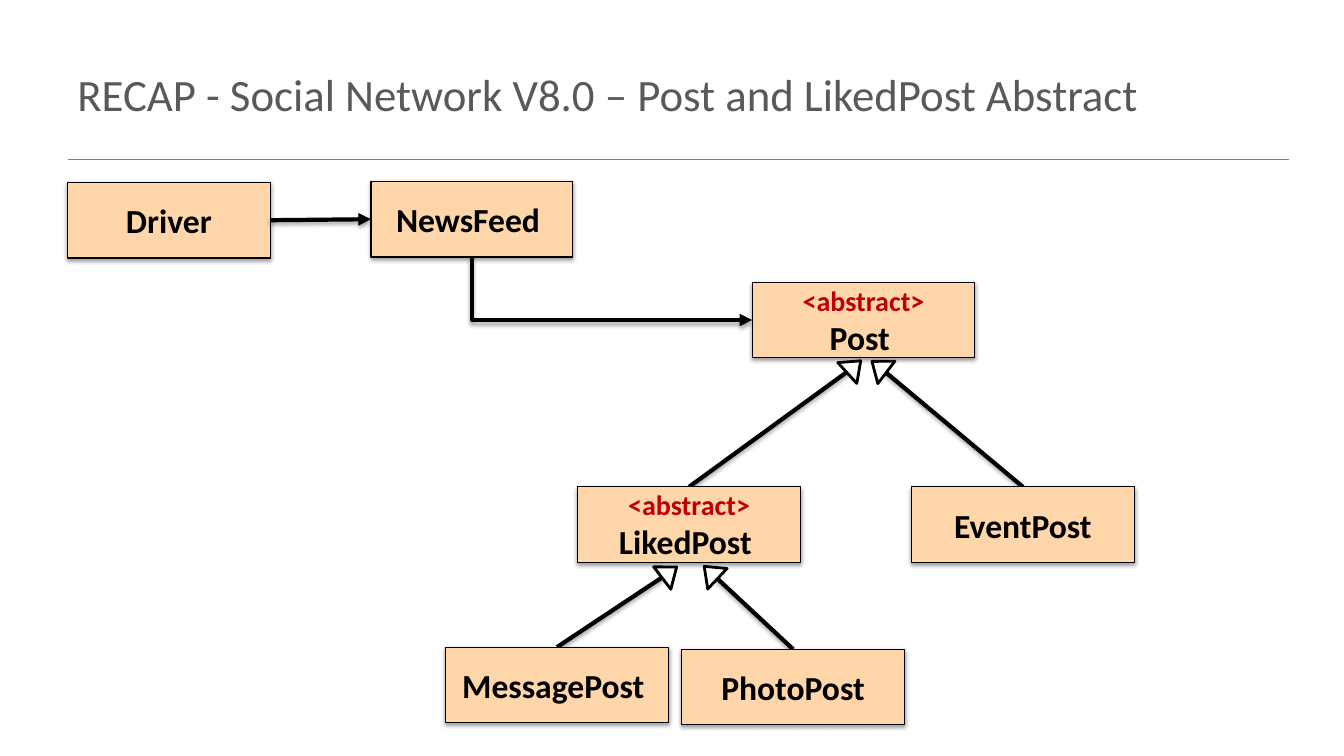
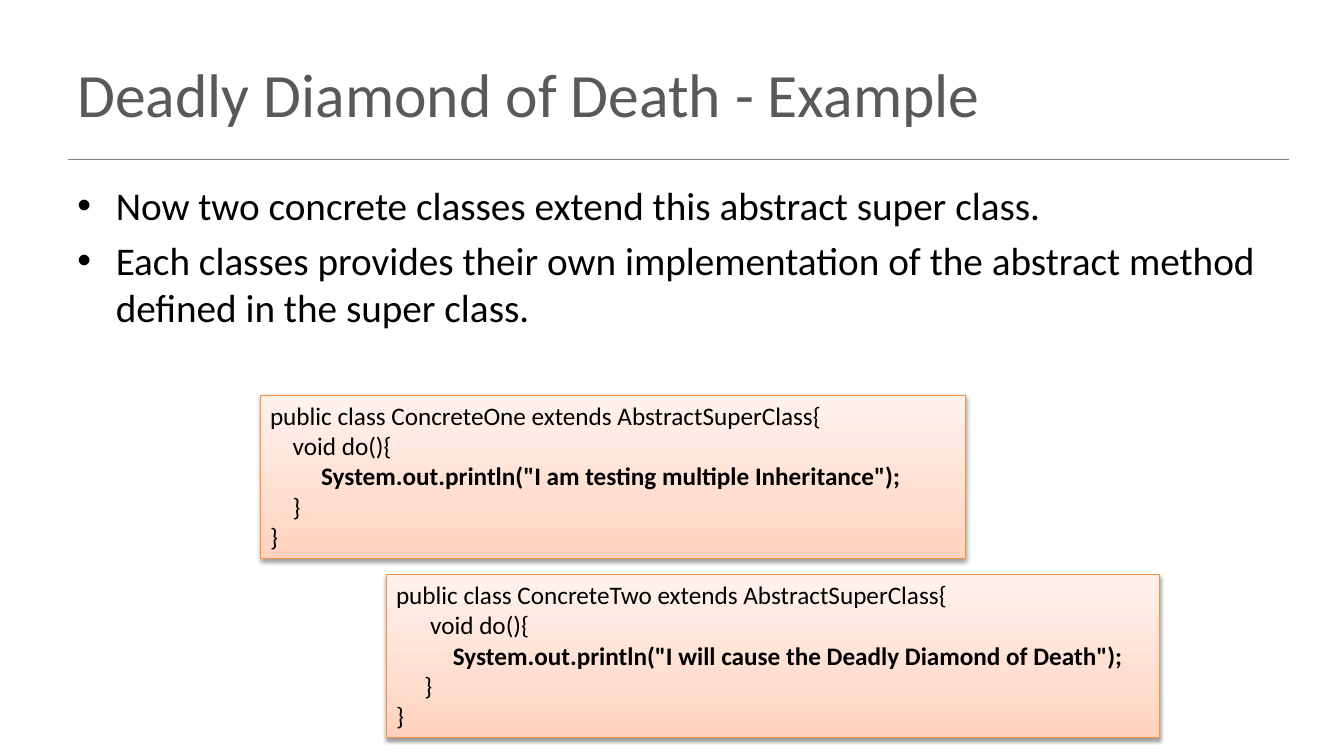
from lxml import etree
from pptx import Presentation
from pptx.dml.color import RGBColor
from pptx.enum.shapes import MSO_CONNECTOR, MSO_SHAPE
from pptx.enum.text import MSO_ANCHOR, PP_ALIGN
from pptx.oxml.ns import qn
from pptx.util import Inches, Pt

STRAIGHT = MSO_CONNECTOR.STRAIGHT
ELBOW = MSO_CONNECTOR.ELBOW
RECTANGLE = MSO_SHAPE.RECTANGLE
TRIANGLE = MSO_SHAPE.ISOSCELES_TRIANGLE
TOP, MIDDLE = MSO_ANCHOR.TOP, MSO_ANCHOR.MIDDLE
LEFT, CENTER = PP_ALIGN.LEFT, PP_ALIGN.CENTER

FONT = "Calibri"
COLORS = {
    "title": "595959", "rule": "808080", "black": "000000", "white": "FFFFFF",
    "class": "FED6AA", "abstract": "C00000", "code line": "F69240",
}
CODE_GRADIENT = [(0, "FFD2BD"), (35, "FFDED0"), (100, "FFF2ED")]
BOX_SHADOW = {"alpha": 38, "blur": 3.1, "distance": 1.6}
LINE_SHADOW = {"alpha": 35, "blur": 3.1, "distance": 1.8}

RECAP_TITLE = "RECAP - Social Network V8.0 – Post and LikedPost Abstract"
BOX_HEIGHT = 0.75
# label: (left, top, width, is abstract)
CLASSES = {
    "Driver": (0.67, 1.81, 2.01, False),
    "NewsFeed ": (3.68, 1.8, 2, False),
    "Post ": (7.46, 2.8, 2.21, True),
    "LikedPost ": (5.73, 4.83, 2.21, True),
    "EventPost": (9.04, 4.83, 2.21, False),
    "MessagePost ": (4.42, 6.42, 2.21, False),
    "PhotoPost": (6.76, 6.44, 2.21, False),
}
# subclass, centre of its inheritance arrowhead, rotation of the arrowhead
INHERITANCE = [
    ("LikedPost ", (8.47, 3.64), 47.7),
    ("EventPost", (8.72, 3.64), 307.3),
    ("MessagePost ", (6.64, 5.68), 52.5),
    ("PhotoPost", (7.05, 5.68), 313.3),
]
HEAD_WIDTH, HEAD_HEIGHT = 0.28, 0.18

DIAMOND_TITLE = "Deadly Diamond of Death - Example"
BULLETS = [
    "Now two concrete classes extend this abstract super class.",
    "Each classes provides their own implementation of the abstract method "
    "defined in the super class.",
]
# left, top, width, code lines
LISTINGS = [
    (2.58, 3.92, 7, [
        "public class ConcreteOne extends AbstractSuperClass{",
        "    void do(){",
        '         System.out.println("I am testing multiple Inheritance");',
        "    }",
        "}",
    ]),
    (3.83, 5.7, 7.67, [
        "public class ConcreteTwo extends AbstractSuperClass{",
        "      void do(){",
        '          System.out.println("I will cause the Deadly Diamond of Death");',
        "     }",
        "}",
    ]),
]
LISTING_HEIGHT = 1.62


def rgb(name):
    return RGBColor.from_string(COLORS[name])


def add_effects(shape, shadow=None):
    """Give the shape this downward shadow, or none at all; call after fill and line."""
    effects = etree.SubElement(shape._element.spPr, qn("a:effectLst"))
    if shadow:
        outer = etree.SubElement(
            effects, qn("a:outerShdw"), blurRad=str(Pt(shadow["blur"])),
            dist=str(Pt(shadow["distance"])), dir="5400000", rotWithShape="0")
        color = etree.SubElement(outer, qn("a:srgbClr"), val=COLORS["black"])
        etree.SubElement(color, qn("a:alpha"), val=str(shadow["alpha"] * 1000))


def style_line(shape, color, width):
    shape.line.color.rgb = rgb(color)
    shape.line.width = Pt(width)


def write(frame, lines, anchor=MIDDLE, align=LEFT):
    """Fill the frame with one paragraph per (text, size, color, bold)."""
    frame.word_wrap = True
    frame.vertical_anchor = anchor
    for index, (text, size, color, bold) in enumerate(lines):
        paragraph = frame.add_paragraph() if index else frame.paragraphs[0]
        paragraph.text = text
        paragraph.alignment = align
        font = paragraph.font
        font.name, font.size, font.bold = FONT, Pt(size), bold
        font.color.rgb = rgb(color)


def add_line(slide, start, end, color="black", width=3, shadow=LINE_SHADOW,
             arrow=False, kind=STRAIGHT):
    line = slide.shapes.add_connector(kind, *map(Inches, start + end))
    style_line(line, color, width)
    if arrow:
        etree.SubElement(line.line._get_or_add_ln(), qn("a:tailEnd"), type="triangle")
    add_effects(line, shadow)
    return line


def add_down_right_arrow(slide, start, end):
    """Arrow that leaves downwards and turns once to the right."""
    arrow = add_line(slide, start, end, arrow=True, kind=ELBOW)
    across, down = end[0] - start[0], end[1] - start[1]
    arrow.left = Inches((start[0] + end[0] - down) / 2)
    arrow.top = Inches((start[1] + end[1] - across) / 2)
    arrow.width, arrow.height = Inches(down), Inches(across)
    properties = arrow._element.spPr
    properties.find(qn("a:prstGeom")).set("prst", "bentConnector2")
    frame = properties.find(qn("a:xfrm"))
    frame.set("rot", str(270 * 60000))
    frame.set("flipH", "1")


def add_titled_slide(prs, title, size):
    slide = prs.slides.add_slide(prs.slide_layouts[6])
    add_line(slide, (0.67, 1.58), (12.78, 1.58), "rule", 1, shadow=None)
    heading = slide.shapes.add_textbox(*map(Inches, (0.67, 0.3, 12, 1.25)))
    write(heading.text_frame, [(title, size, "title", False)])
    return slide


def add_class(slide, label, left, top, width, is_abstract):
    box = slide.shapes.add_shape(RECTANGLE, *map(Inches, (left, top, width, BOX_HEIGHT)))
    box.fill.solid()
    box.fill.fore_color.rgb = rgb("class")
    style_line(box, "black", 0.75)
    add_effects(box, BOX_SHADOW)
    lines = [("<abstract>", 20, "abstract", True)] if is_abstract else []
    write(box.text_frame, lines + [(label, 24, "black", True)], align=CENTER)


def add_inheritance_head(slide, center, rotation):
    left, top = center[0] - HEAD_WIDTH / 2, center[1] - HEAD_HEIGHT / 2
    head = slide.shapes.add_shape(
        TRIANGLE, *map(Inches, (left, top, HEAD_WIDTH, HEAD_HEIGHT)))
    head.rotation = rotation
    head.fill.solid()
    head.fill.fore_color.rgb = rgb("white")
    style_line(head, "black", 2)
    add_effects(head)


def edge_point(label, across, down):
    """Point on a class box, as fractions of its width and height."""
    left, top, width, _ = CLASSES[label]
    return left + across * width, top + down * BOX_HEIGHT


def build_recap(prs):
    slide = add_titled_slide(prs, RECAP_TITLE, 32)
    for subclass, center, _ in INHERITANCE:
        add_line(slide, edge_point(subclass, 0.5, 0), center)
    for label, place in CLASSES.items():
        add_class(slide, label, *place)
    add_line(slide, edge_point("Driver", 1, 0.5), edge_point("NewsFeed ", 0, 0.5),
             arrow=True)
    add_down_right_arrow(slide, edge_point("NewsFeed ", 0.5, 1), edge_point("Post ", 0, 0.5))
    for _, center, rotation in INHERITANCE:
        add_inheritance_head(slide, center, rotation)


def add_bullets(slide):
    body = slide.shapes.add_textbox(*map(Inches, (0.67, 1.75, 12, 4.95)))
    size = 28
    write(body.text_frame, [(text, size, "black", False) for text in BULLETS], TOP)
    for index, paragraph in enumerate(body.text_frame.paragraphs):
        if index:
            paragraph.space_before = Pt(size * 0.2)
        properties = paragraph._p.get_or_add_pPr()
        properties.set("marL", str(Inches(0.38)))
        properties.set("indent", str(Inches(-0.38)))
        font_properties = properties.find(qn("a:defRPr"))
        for tag, attributes in (("a:buFont", {"typeface": "Arial"}),
                                ("a:buChar", {"char": "•"})):
            font_properties.addprevious(etree.Element(qn(tag), attributes))


def add_listing(slide, left, top, width, code):
    box = slide.shapes.add_shape(
        RECTANGLE, *map(Inches, (left, top, width, LISTING_HEIGHT)))
    box.fill.gradient()
    box.fill.gradient_angle = 90
    stops = box._element.spPr.find(qn("a:gradFill")).find(qn("a:gsLst"))
    for stop in list(stops):
        stops.remove(stop)
    for position, color in CODE_GRADIENT:
        stop = etree.SubElement(stops, qn("a:gs"), pos=str(position * 1000))
        etree.SubElement(stop, qn("a:srgbClr"), val=color)
    style_line(box, "code line", 0.75)
    add_effects(box, BOX_SHADOW)
    write(box.text_frame,
          [(line, 18, "black", "println" in line) for line in code], TOP)


def build_diamond(prs):
    slide = add_titled_slide(prs, DIAMOND_TITLE, 44)
    add_bullets(slide)
    for listing in LISTINGS:
        add_listing(slide, *listing)


def main():
    prs = Presentation()
    prs.slide_width, prs.slide_height = Inches(13.33), Inches(7.5)
    build_recap(prs)
    build_diamond(prs)
    prs.save("out.pptx")


if __name__ == "__main__":
    main()
